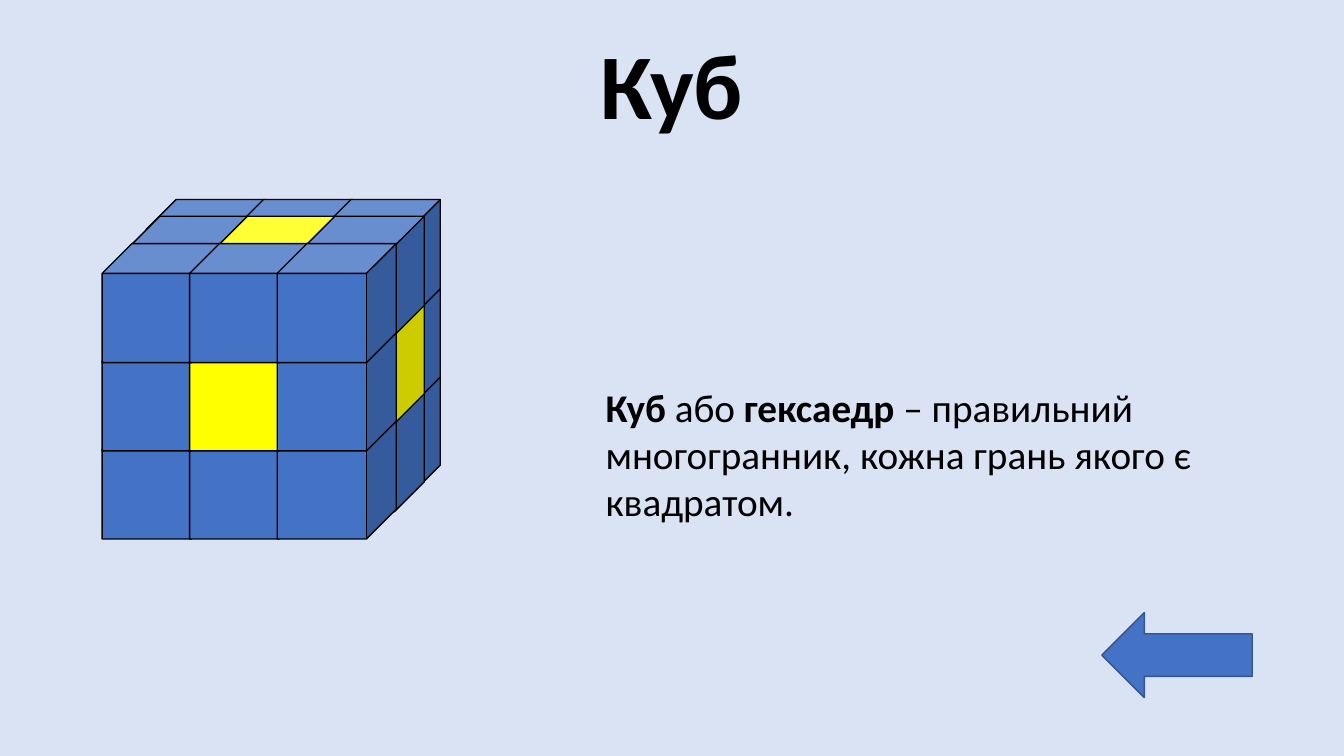
from dataclasses import dataclass
from itertools import product

from pptx import Presentation
from pptx.dml.color import RGBColor
from pptx.enum.shapes import MSO_SHAPE
from pptx.enum.text import MSO_ANCHOR, MSO_AUTO_SIZE, PP_ALIGN
from pptx.slide import Slide
from pptx.util import Pt

CUBE = MSO_SHAPE.CUBE
LEFT_ARROW = MSO_SHAPE.LEFT_ARROW
MIDDLE = MSO_ANCHOR.MIDDLE
CENTER = PP_ALIGN.CENTER
NO_AUTOFIT = MSO_AUTO_SIZE.NONE
GROW_TO_FIT = MSO_AUTO_SIZE.SHAPE_TO_FIT_TEXT


@dataclass(frozen=True)
class Theme:
    font: str = "Calibri"
    title_size: float = 66
    body_size: float = 28
    line_width: float = 1
    background: RGBColor = RGBColor(0xDA, 0xE3, 0xF3)
    text: RGBColor = RGBColor(0x00, 0x00, 0x00)
    blue: RGBColor = RGBColor(0x44, 0x72, 0xC4)
    yellow: RGBColor = RGBColor(0xFF, 0xFF, 0x00)
    arrow_line: RGBColor = RGBColor(0x32, 0x54, 0x91)


@dataclass(frozen=True)
class Box:
    left: float
    top: float
    width: float
    height: float

    def lengths(self) -> tuple[Pt, Pt, Pt, Pt]:
        return Pt(self.left), Pt(self.top), Pt(self.width), Pt(self.height)


@dataclass(frozen=True)
class Solid:
    kind: MSO_SHAPE
    box: Box
    fill: RGBColor
    line: RGBColor


@dataclass(frozen=True)
class Phrase:
    text: str
    bold: bool = False


THEME = Theme()
TITLE_BOX = Box(66, 12, 828, 104.4)
DEFINITION_BOX = Box(425.5, 270, 435, 108.7)
DEFINITION = (
    Phrase("Куб", bold=True),
    Phrase(" або "),
    Phrase("гексаедр", bold=True),
    Phrase(" – правильний многогранник, кожна грань якого є квадратом."),
)
BACK_ARROW = Solid(LEFT_ARROW, Box(787, 437.5, 107.5, 60.8), THEME.blue, THEME.arrow_line)

# Small cubes: layers run bottom to top, rows back to front
SIDE = 85
COLUMN_STEP = 62.5
LAYER_STEP = 63
BOTTOM_LAYER_TOP = 268.5
ROW_LEFTS = (104.5, 93, 73)
ROW_DROPS = (0, 12, 31.5)


def small_cube(layer: int, row: int, column: int) -> Solid:
    box = Box(
        ROW_LEFTS[row] + column * COLUMN_STEP,
        BOTTOM_LAYER_TOP - layer * LAYER_STEP + ROW_DROPS[row],
        SIDE,
        SIDE,
    )
    # Face centres and the core are yellow, except in the bottom layer
    is_centre = layer > 0 and (layer, row, column).count(1) >= 2
    return Solid(CUBE, box, THEME.yellow if is_centre else THEME.blue, THEME.text)


def add_solid(slide: Slide, solid: Solid) -> None:
    shape = slide.shapes.add_shape(solid.kind, *solid.box.lengths())
    shape.shadow.inherit = False
    shape.fill.solid()
    shape.fill.fore_color.rgb = solid.fill
    shape.line.color.rgb = solid.line
    shape.line.width = Pt(THEME.line_width)


def set_title(slide: Slide, text: str) -> None:
    title = slide.shapes.title
    title.left, title.top, title.width, title.height = TITLE_BOX.lengths()
    frame = title.text_frame
    frame.text = text
    frame.auto_size = NO_AUTOFIT
    frame.vertical_anchor = MIDDLE
    paragraph = frame.paragraphs[0]
    paragraph.alignment = CENTER
    paragraph.line_spacing = 0.9
    paragraph.font.name = THEME.font
    paragraph.font.size = Pt(THEME.title_size)
    paragraph.font.bold = True
    paragraph.font.color.rgb = THEME.text


def add_definition(slide: Slide, phrases: tuple[Phrase, ...]) -> None:
    frame = slide.shapes.add_textbox(*DEFINITION_BOX.lengths()).text_frame
    frame.word_wrap = True
    frame.auto_size = GROW_TO_FIT
    paragraph = frame.paragraphs[0]
    paragraph.font.name = THEME.font
    paragraph.font.size = Pt(THEME.body_size)
    paragraph.font.color.rgb = THEME.text
    for phrase in phrases:
        run = paragraph.add_run()
        run.text = phrase.text
        run.font.bold = phrase.bold


def main() -> None:
    presentation = Presentation()
    presentation.slide_width = Pt(960)
    presentation.slide_height = Pt(540)
    slide = presentation.slides.add_slide(presentation.slide_layouts.get_by_name("Title Only"))
    slide.background.fill.solid()
    slide.background.fill.fore_color.rgb = THEME.background

    # Text
    set_title(slide, "Куб")
    add_definition(slide, DEFINITION)

    # Large cube, drawn from the bottom and the back
    for layer, row, column in product(range(3), repeat=3):
        add_solid(slide, small_cube(layer, row, column))

    # Back arrow
    add_solid(slide, BACK_ARROW)

    presentation.save("out.pptx")


if __name__ == "__main__":
    main()
